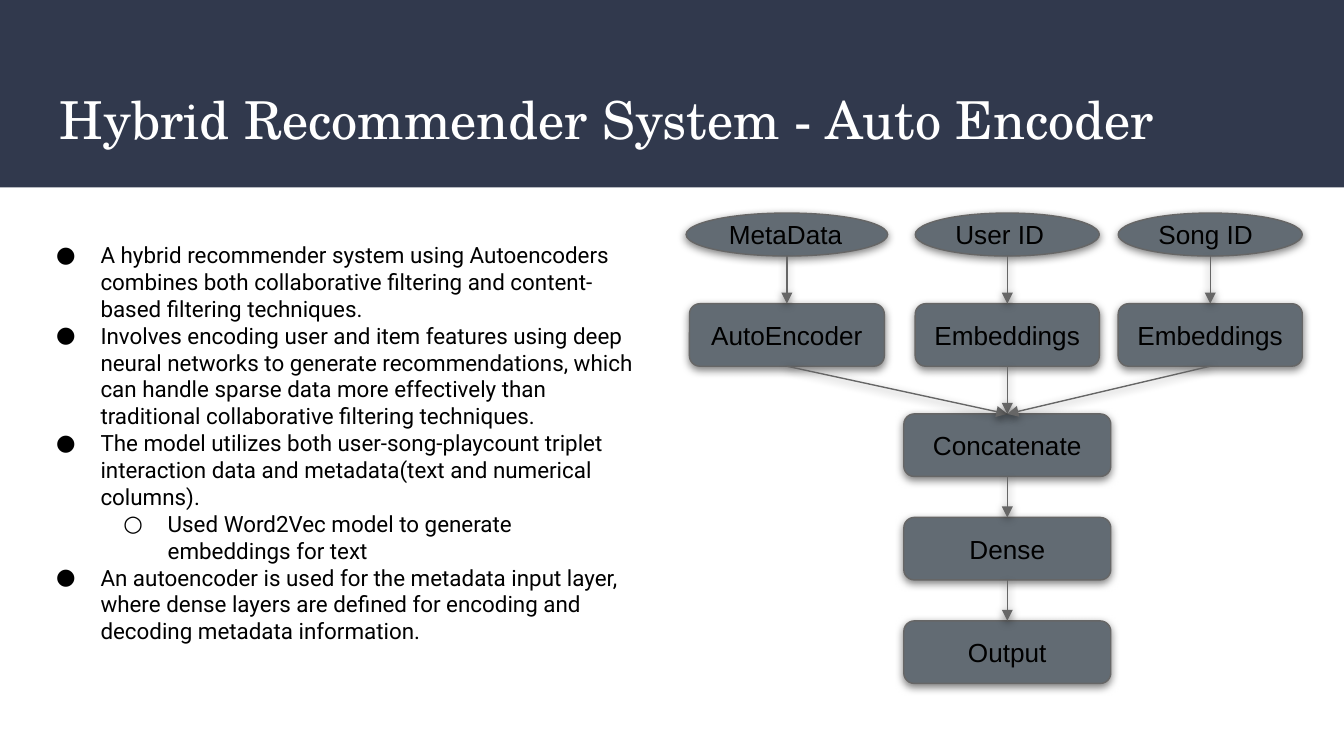
from lxml import etree
from pptx import Presentation
from pptx.dml.color import RGBColor
from pptx.enum.shapes import MSO_CONNECTOR as CONN, MSO_SHAPE as SHAPE
from pptx.enum.text import MSO_ANCHOR as ANCHOR, PP_ALIGN as ALIGN
from pptx.oxml.ns import qn
from pptx.util import Inches, Pt

NAVY = RGBColor(0x31, 0x39, 0x4D)
SLATE = RGBColor(0x62, 0x6B, 0x73)
GREY = RGBColor(0x66, 0x66, 0x66)
BLACK = RGBColor(0, 0, 0)
WHITE = RGBColor(0xFF, 0xFF, 0xFF)

COLS, ROWS = 100, 56.25
BULLETS = "●○"

NOTES = [
    (0, "A hybrid recommender system using Autoencoders combines both collaborative "
        "filtering and content-based filtering techniques."),
    (0, "Involves encoding user and item features using deep neural networks to generate "
        "recommendations, which can handle sparse data more effectively than traditional "
        "collaborative filtering techniques."),
    (0, "The model utilizes both user-song-playcount triplet interaction data and "
        "metadata(text and numerical columns)."),
    (1, "Used Word2Vec model to generate embeddings for text"),
    (0, "An autoencoder is used for the metadata input layer, where dense layers are "
        "defined for encoding and decoding metadata information."),
]

# centre column, input, input width, encoder, encoder width
BRANCHES = [
    (58.55, "MetaData", 15, "AutoEncoder", 14.5),
    (74.95, "User ID", 13.7, "Embeddings", 13.7),
    (90.05, "Song ID", 13.7, "Embeddings", 13.7),
]
# top row of each layer in the shared trunk
TRUNK = [("Concatenate", 30.8), ("Dense", 38.5), ("Output", 46.2)]
TRUNK_COL, TRUNK_WIDTH = 74.95, 15.4
INPUT_ROW, INPUT_HEIGHT = 15.85, 3.2
ENCODER_ROW, BOX_HEIGHT = 22.6, 4.65


def add_text(p, text, size=14, font="Arial", color=BLACK, align=ALIGN.LEFT):
    p.alignment = align
    r = p.add_run()
    r.text = text
    r.font.size, r.font.name = Pt(size), font
    r.font.color.rgb = color


def add_bullet(p, level, size, font):
    """Give the paragraph a hanging indent and the bullet of its level."""
    p.level = level
    pPr = p._p.get_or_add_pPr()
    pPr.set("marL", str(Inches(0.5 * (level + 1))))
    pPr.set("indent", str(-Inches(0.33)))
    color = etree.SubElement(pPr, qn("a:buClr"))
    etree.SubElement(color, qn("a:srgbClr"), val=str(BLACK))
    etree.SubElement(pPr, qn("a:buSzPts"), val=str(size * 100))
    etree.SubElement(pPr, qn("a:buFont"), typeface=font)
    etree.SubElement(pPr, qn("a:buChar"), char=BULLETS[level])


def add_shadow(sp):
    """Put a soft shadow straight below the shape or connector."""
    effects = etree.SubElement(sp._element.spPr, qn("a:effectLst"))
    shadow = etree.SubElement(effects, qn("a:outerShdw"), blurRad=str(Pt(4.5)),
                              dist=str(Pt(1.5)), dir="5400000", algn="bl",
                              rotWithShape="0")
    color = etree.SubElement(shadow, qn("a:srgbClr"), val=str(BLACK))
    etree.SubElement(color, qn("a:alpha"), val="50000")


class Deck:
    """Presentation whose lengths are columns and rows of the slide grid."""

    def __init__(self):
        self.prs = Presentation()
        self.prs.slide_width, self.prs.slide_height = Inches(10), Inches(ROWS / 10)
        self.s = self.prs.slides.add_slide(self.prs.slide_layouts[6])

    def grid(self, *lengths):
        """Turn alternating columns and rows into slide lengths."""
        units = (self.prs.slide_width / COLS, self.prs.slide_height / ROWS)
        return [round(n * units[i % 2]) for i, n in enumerate(lengths)]

    def band(self, height):
        sp = self.s.shapes.add_shape(SHAPE.RECTANGLE, *self.grid(0, 0, COLS, height))
        sp.shadow.inherit = False
        sp.fill.solid()
        sp.fill.fore_color.rgb = NAVY
        sp.line.fill.background()

    def textbox(self, left, top, width, height, anchor=ANCHOR.TOP):
        tf = self.s.shapes.add_textbox(*self.grid(left, top, width, height)).text_frame
        self.frame(tf, anchor)
        return tf

    def title(self, text):
        tf = self.textbox(3.45, 5.4, 93.2, 6.8, ANCHOR.MIDDLE)
        add_text(tf.paragraphs[0], text, size=28, font="TeX Gyre Schola", color=WHITE)

    def bullets(self, items, size=12, font="Roboto"):
        tf = self.textbox(1.5, 16.95, 46.7, 32.3)
        for i, (level, text) in enumerate(items):
            p = tf.add_paragraph() if i else tf.paragraphs[0]
            add_text(p, text, size=size, font=font)
            add_bullet(p, level, size, font)

    def node(self, kind, text, center, top, width, height, align=ALIGN.CENTER):
        sp = self.s.shapes.add_shape(
            kind, *self.grid(center - width / 2, top, width, height))
        sp.fill.solid()
        sp.fill.fore_color.rgb = SLATE
        sp.line.color.rgb, sp.line.width = GREY, Pt(0.75)
        add_shadow(sp)
        self.frame(sp.text_frame, ANCHOR.MIDDLE)
        add_text(sp.text_frame.paragraphs[0], text, align=align)
        return sp

    def arrow(self, upper, lower):
        """Point from the bottom centre of one node to the top centre of another."""
        cxn = self.s.shapes.add_connector(
            CONN.STRAIGHT,
            upper.left + upper.width // 2, upper.top + upper.height,
            lower.left + lower.width // 2, lower.top)
        cxn.line.color.rgb, cxn.line.width = GREY, Pt(0.75)
        ln = cxn._element.spPr.find(qn("a:ln"))
        etree.SubElement(ln, qn("a:tailEnd"), type="triangle")
        add_shadow(cxn)

    @staticmethod
    def frame(tf, anchor):
        """Wrap the text, anchor it and set equal margins."""
        tf.word_wrap = True
        tf.vertical_anchor = anchor
        tf.margin_left = tf.margin_right = tf.margin_top = tf.margin_bottom = Inches(0.1)


def main():
    deck = Deck()
    deck.band(13.95)
    deck.title("Hybrid Recommender System - Auto Encoder")

    layers = [deck.node(SHAPE.ROUNDED_RECTANGLE, text, TRUNK_COL, top, TRUNK_WIDTH, BOX_HEIGHT)
              for text, top in TRUNK]
    links = list(zip(layers, layers[1:]))
    for col, source, source_width, encoder, encoder_width in BRANCHES:
        start = deck.node(SHAPE.OVAL, source, col, INPUT_ROW, source_width, INPUT_HEIGHT,
                          align=ALIGN.LEFT)
        box = deck.node(SHAPE.ROUNDED_RECTANGLE, encoder, col, ENCODER_ROW, encoder_width,
                        BOX_HEIGHT)
        links += [(start, box), (box, layers[0])]
    for upper, lower in links:
        deck.arrow(upper, lower)

    deck.bullets(NOTES)
    deck.prs.save("out.pptx")


if __name__ == "__main__":
    main()
